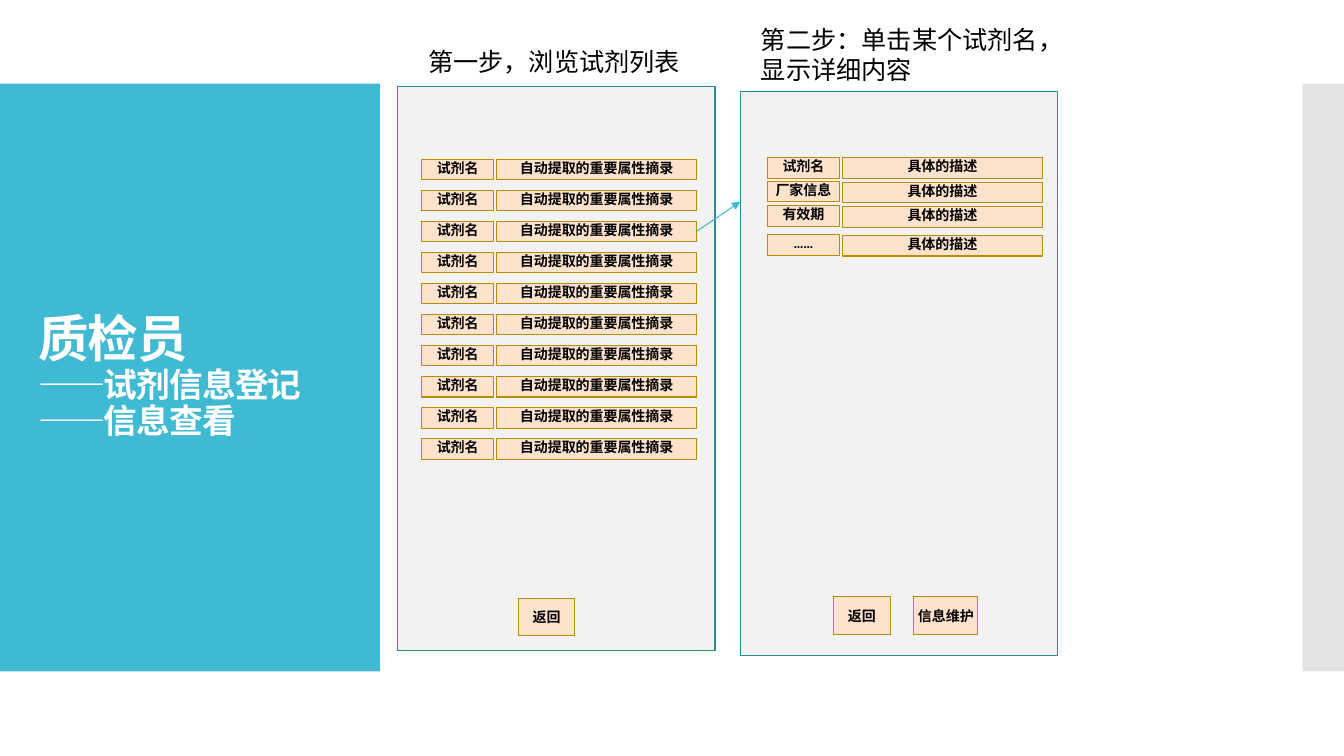
"""Build the inspector slide: browsing the reagent list and viewing details."""
from lxml import etree
from pptx import Presentation
from pptx.dml.color import RGBColor
from pptx.enum import shapes, text
from pptx.oxml import ns
from pptx.util import Pt

TEAL = RGBColor(0x40, 0xBA, 0xD2)
DARK_TEAL = RGBColor(0x2F, 0x8A, 0x9B)
SILVER = RGBColor(0xC8, 0xC8, 0xC8)
PANEL_GRAY = RGBColor(0xF2, 0xF2, 0xF2)
PEACH = RGBColor(0xFD, 0xE2, 0xCC)
GOLD = RGBColor(0xBB, 0x8B, 0x00)
BLACK = RGBColor(0, 0, 0)
WHITE = RGBColor(0xFF, 0xFF, 0xFF)


def write(para, wording, size=10, color=BLACK, bold=False, align=None):
    span = para.add_run()
    span.text = wording
    span.font.name = "Calibri"
    span.font.size = Pt(size)
    span.font.bold = bold
    span.font.color.rgb = color
    if align is not None:
        para.alignment = align
    return span


def add_box(left, top, width, height, fill, line=None, weight=0.75,
            wording=None, anchor=text.MSO_ANCHOR.TOP):
    box = page.shapes.add_shape(shapes.MSO_SHAPE.RECTANGLE, Pt(left), Pt(top),
                                Pt(width), Pt(height))
    box.shadow.inherit = False
    box.fill.solid()
    box.fill.fore_color.rgb = fill
    if line is None:
        box.line.fill.background()
    else:
        box.line.color.rgb = line
        box.line.width = Pt(weight)
    if wording:
        frame = box.text_frame
        frame.margin_left = frame.margin_right = 0
        frame.margin_top = frame.margin_bottom = 0
        frame.vertical_anchor = anchor
        write(frame.paragraphs[0], wording, bold=True, align=text.PP_ALIGN.CENTER)
    return box


deck = Presentation()
deck.slide_width, deck.slide_height = Pt(960), Pt(540)
page = deck.slides.add_slide(deck.slide_layouts[5])

add_box(0, 59.8, 271.4, 419.8, TEAL)
side_bar = add_box(930.2, 59.8, 29.8, 419.8, SILVER)
bar_color = side_bar.fill._xPr.find(ns.qn("a:solidFill"))[0]
etree.SubElement(bar_color, ns.qn("a:alpha"), val="50000")

title = page.shapes.title
title.element.getparent().append(title.element)
title.left, title.top, title.width, title.height = Pt(20.2), Pt(88.6), Pt(231.8), Pt(362.2)
title.text_frame.word_wrap = True
title.text_frame.auto_size = text.MSO_AUTO_SIZE.NONE
title.text_frame.vertical_anchor = text.MSO_ANCHOR.MIDDLE
heading = title.text_frame.paragraphs[0]
heading.line_spacing = 0.9
for index, (wording, size) in enumerate(
        [("质检员", 36), ("——试剂信息登记", 24), ("——信息查看", 24)]):
    if index:
        heading.add_line_break()
    span = write(heading, wording, size=size, color=WHITE, bold=True,
                 align=text.PP_ALIGN.LEFT)
    span.font._element.set("spc", "-60")

for left, top in [(284, 61.6), (528.8, 65.2)]:
    add_box(left, top, 226.8, 403.2, PANEL_GRAY, DARK_TEAL, 0.85)

for left, top, width, height, wording in [
        (298.8, 29.5, 196.6, 28.8, "第一步，浏览试剂列表"),
        (536.4, 13.7, 216, 51.1, "第二步：单击某个试剂名，显示详细内容")]:
    label = page.shapes.add_textbox(Pt(left), Pt(top), Pt(width), Pt(height))
    label.text_frame.word_wrap = True
    write(label.text_frame.paragraphs[0], wording, size=18)

list_rows = [(113.6 + 22.2 * row, 0, "试剂名", "自动提取的重要属性摘录")
             for row in range(10)]
detail_rows = [(top, drop, name, "具体的描述") for top, drop, name in
               [(112.6, 0, "试剂名"), (129.6, 0.7, "厂家信息"),
                (146.9, 0.7, "有效期"), (167.6, 0.7, "……")]]
for left, rows in [(301.2, list_rows), (548.2, detail_rows)]:
    for top, drop, name, detail in rows:
        add_box(left, top, 51.4, 14.6, PEACH, GOLD, wording=name)
        add_box(left + 53.5, top + drop, 142.9, 14.6, PEACH, GOLD, wording=detail)

for left, top, width, wording in [(370.1, 427.2, 40.6, "返回"),
                                  (595.4, 426.2, 40.6, "返回"),
                                  (652.7, 426.2, 45.8, "信息维护")]:
    add_box(left, top, width, 26.8, PEACH, GOLD, wording=wording,
            anchor=text.MSO_ANCHOR.MIDDLE)

arrow = page.shapes.add_connector(shapes.MSO_CONNECTOR.STRAIGHT,
                                  Pt(497.6), Pt(165.3), Pt(528.8), Pt(144))
arrow.line.color.rgb = TEAL
arrow.line.width = Pt(0.75)
etree.SubElement(arrow.line._get_or_add_ln(), ns.qn("a:tailEnd"), type="triangle")
etree.SubElement(arrow.element.spPr, ns.qn("a:effectLst"))

deck.save("out.pptx")
